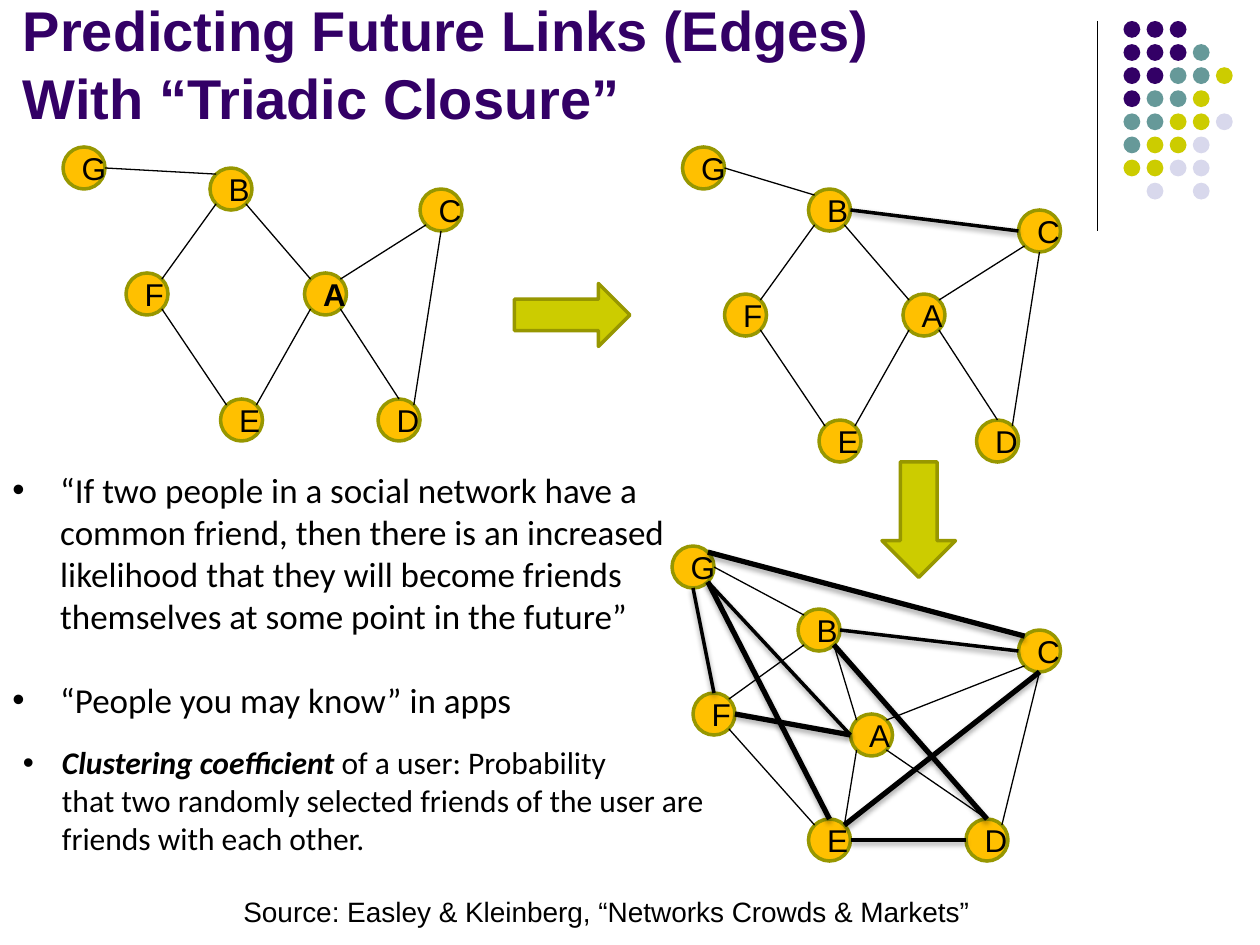
from math import cos, pi, sin

from lxml.etree import SubElement
from pptx import Presentation
from pptx.dml.color import RGBColor
from pptx.enum.shapes import MSO_CONNECTOR, MSO_SHAPE
from pptx.enum.text import MSO_ANCHOR as Anchor, PP_ALIGN as Align
from pptx.oxml.ns import qn
from pptx.util import Inches, Pt

BLACK = RGBColor(0x00, 0x00, 0x00)
PURPLE = RGBColor(0x33, 0x00, 0x66)
TEAL = RGBColor(0x66, 0x99, 0x99)
LIME = RGBColor(0xCC, 0xCC, 0x00)
LAVENDER = RGBColor(0xD8, 0xD8, 0xEC)
AMBER = RGBColor(0xFF, 0xC0, 0x00)
OLIVE = RGBColor(0x97, 0x97, 0x00)

COLS, ROWS = 120, 90  # grid cells of 1/12 inch
NODE = 4              # node diameter in cells
THIN, MEDIUM, THICK = 0.75, 2, 3

# Direction of each side of a node, in eighths of a turn clockwise from right
SIDES = {"r": 0, "br": 1, "b": 2, "bl": 3, "l": 4, "tl": 5, "t": 6, "tr": 7}


def grid(cells):
    return Inches(cells / 12)


class Canvas:
    """Holds the slide and the style of its elements."""

    def __init__(self, slide):
        self.shapes = slide.shapes

    def shape(self, kind, x, y, w, h, fill, line=None):
        sp = self.shapes.add_shape(kind, *map(grid, (x, y, w, h)))
        sp.shadow.inherit = False
        sp.fill.solid()
        sp.fill.fore_color.rgb = fill
        if line is None:
            sp.line.fill.background()
        else:
            sp.line.color.rgb = line
            sp.line.width = Pt(2)
        return sp

    def line(self, x1, y1, x2, y2, width=THIN):
        cxn = self.shapes.add_connector(
            MSO_CONNECTOR.STRAIGHT, *map(grid, (x1, y1, x2, y2)))
        cxn.line.color.rgb = BLACK
        cxn.line.width = Pt(width)
        effects = SubElement(cxn._element.spPr, qn("a:effectLst"))
        if width > THIN:
            dist, alpha = (20000, 38000) if width == MEDIUM else (23000, 35000)
            shadow = SubElement(effects, qn("a:outerShdw"), blurRad="40000",
                                dist=str(dist), dir="5400000", rotWithShape="0")
            color = SubElement(shadow, qn("a:srgbClr"), val="000000")
            SubElement(color, qn("a:alpha"), val=str(alpha))

    def format(self, p, size, font="Arial", color=BLACK, bold=False):
        for r in p.runs:
            r.font.size = Pt(size)
            r.font.name = font
            r.font.color.rgb = color
            r.font.bold = bold

    def text(self, x, y, w, h, paragraphs, size, font="Arial", color=BLACK,
             bold=False, anchor=Anchor.TOP, indent=None, gap=0):
        tf = self.shapes.add_textbox(*map(grid, (x, y, w, h))).text_frame
        tf.word_wrap = True
        tf.vertical_anchor = anchor
        for i, text in enumerate(paragraphs):
            p = tf.add_paragraph() if i else tf.paragraphs[0]
            p.text = text
            if i:
                p.space_before = Pt(gap)
            if indent:
                self.bullet(p, Inches(indent))
            self.format(p, size, font, color, bold)
        return tf

    def bullet(self, p, indent):
        pPr = p._p.get_or_add_pPr()
        pPr.set("marL", str(indent))
        pPr.set("indent", str(-indent))
        SubElement(pPr, qn("a:buFont"), typeface="Arial")
        SubElement(pPr, qn("a:buChar"), char="•")

    def node(self, x, y, name, bold):
        sp = self.shape(MSO_SHAPE.OVAL, x, y, NODE, NODE, AMBER, OLIVE)
        tf = sp.text_frame
        tf.vertical_anchor = Anchor.MIDDLE
        p = tf.paragraphs[0]
        p.text = name
        p.alignment = Align.CENTER
        self.format(p, 18, bold=bold)

    def graph(self, nodes, edges, bold_node=None):
        def port(end):
            x, y = nodes[end[0]]
            angle = SIDES[end[1:]] * pi / 4
            radius = NODE / 2
            return x + radius * (1 + cos(angle)), y + radius * (1 + sin(angle))

        for name, (x, y) in nodes.items():
            self.node(x, y, name, name == bold_node)
        for width, pairs in edges:
            for pair in pairs.split():
                start, end = pair.split("-")
                self.line(*port(start), *port(end), width)


FRIENDS = (THIN, "Bbr-Atl Gr-Btl Bbl-Ftr Fbr-Etl Etr-Abl Atr-Cbl Abr-Dt Cb-Dtr")
FIRST_CLOSURE = (MEDIUM, "Br-Cl")
MORE_CLOSURES = (MEDIUM, "Gb-Ft Er-Dl Gbr-Al")
LAST_CLOSURES = (THICK, "Fr-Al Gtr-Ctl Gbr-Et Etr-Cb Bbr-Dt")

GRAPH_NOW = {"B": (20, 16), "A": (29, 26), "E": (21, 38), "G": (6, 14),
             "F": (12, 26), "D": (36, 38), "C": (40, 18)}
GRAPH_NEXT = {"B": (77, 18), "A": (86, 28), "E": (78, 40), "G": (65, 14),
              "F": (69, 28), "D": (93, 40), "C": (97, 20)}
GRAPH_LATER = {"B": (76, 58), "A": (81, 68), "E": (77, 78), "G": (64, 52),
               "F": (66, 66), "D": (92, 78), "C": (97, 60)}

DOT_ROWS = ["PPP", "PPPT", "PPTTY", "PTTY", "TTYYL", "TYYL", "YYLL", " L L"]
DOT_COLORS = {"P": PURPLE, "T": TEAL, "Y": LIME, "L": LAVENDER}


def main():
    prs = Presentation()
    prs.slide_width, prs.slide_height = grid(COLS), grid(ROWS)
    s = Canvas(prs.slides.add_slide(prs.slide_layouts[6]))

    # Corner decoration
    s.line(104.5, 2, 104.5, 22)
    for row, codes in enumerate(DOT_ROWS):
        for col, code in enumerate(codes):
            if code in DOT_COLORS:
                s.shape(MSO_SHAPE.OVAL, 107 + 2.2 * col, 2 + 2.2 * row,
                        1.6, 1.6, DOT_COLORS[code])

    # Three stages of the network and the arrows between them
    s.graph(GRAPH_NOW, [FRIENDS], bold_node="A")
    s.shape(MSO_SHAPE.RIGHT_ARROW, 49, 27, 11, 6, LIME, OLIVE)
    s.graph(GRAPH_NEXT, [FRIENDS, FIRST_CLOSURE])
    s.shape(MSO_SHAPE.DOWN_ARROW, 84, 44, 7, 11, LIME, OLIVE)
    s.graph(GRAPH_LATER, [FRIENDS, FIRST_CLOSURE, MORE_CLOSURES, LAST_CLOSURES])

    # Title
    s.text(1, -2, 108, 15,
           ["Predicting Future Links (Edges)\vWith “Triadic Closure”"],
           32, color=PURPLE, bold=True, anchor=Anchor.BOTTOM)

    # Explanation
    s.text(0, 44, 66, 29.5,
           ["“If two people in a social network have a\v"
            "common friend, then there is an increased\v"
            "likelihood that they will become friends\v"
            "themselves at some point in the future”",
            "“People you may know” in apps"],
           20, "Calibri", indent=0.38, gap=24)

    # Definition
    tf = s.text(1, 70.2, 70, 15.7, [""], 18, indent=0.31)
    p = tf.paragraphs[0]
    term = p.add_run()
    term.text = "Clustering coefficient "
    p.add_run().text = "of a user: Probability"
    for line in ("that two randomly selected friends of the user are",
                 "friends with each other."):
        p.add_line_break()
        p.add_run().text = line
    s.format(p, 18, "Calibri")
    term.font.bold = term.font.italic = True

    # Source
    s.text(22, 84.6, 72.5, 4.4,
           ["Source: Easley & Kleinberg, “Networks Crowds & Markets”"], 16)

    prs.save("out.pptx")


if __name__ == "__main__":
    main()
